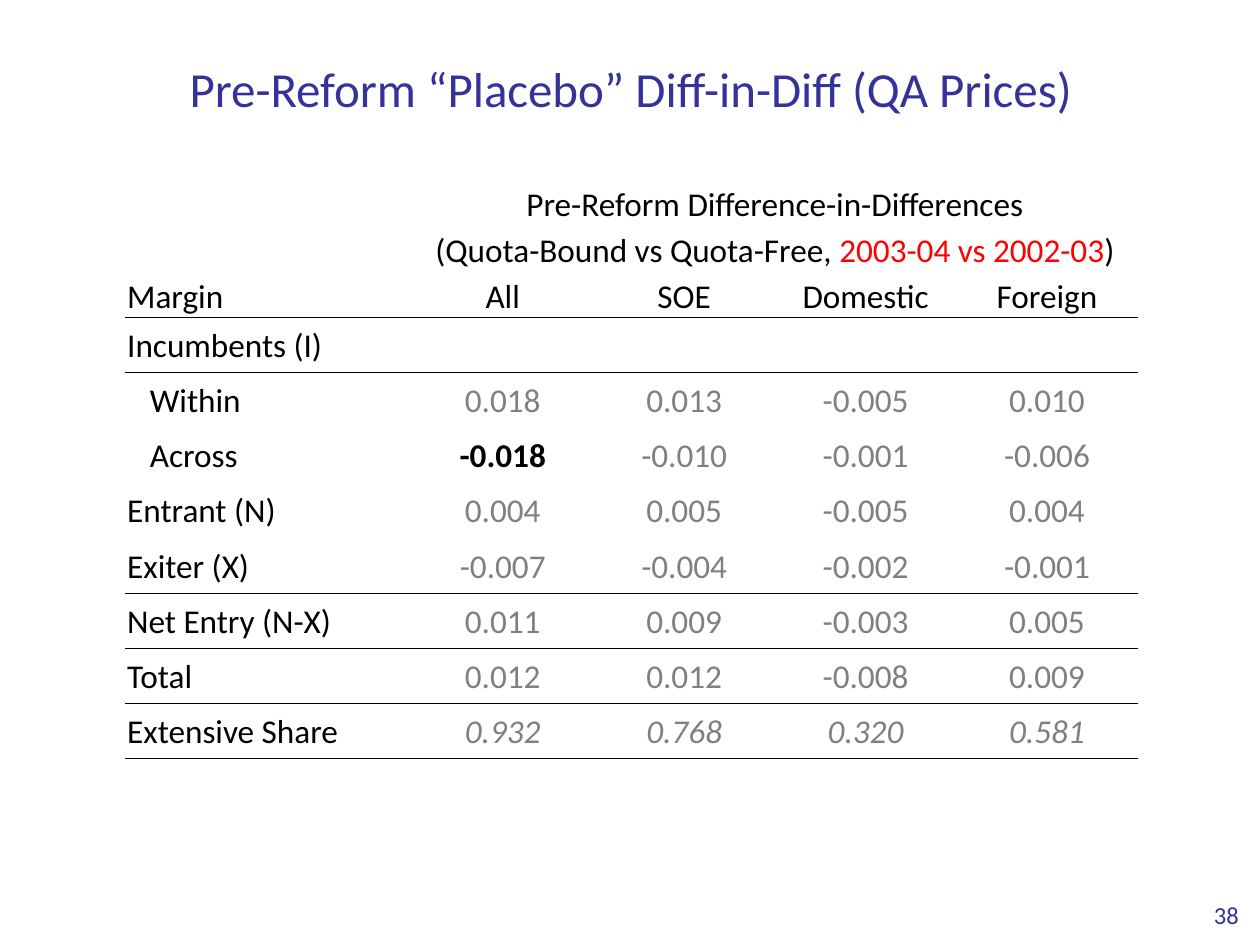
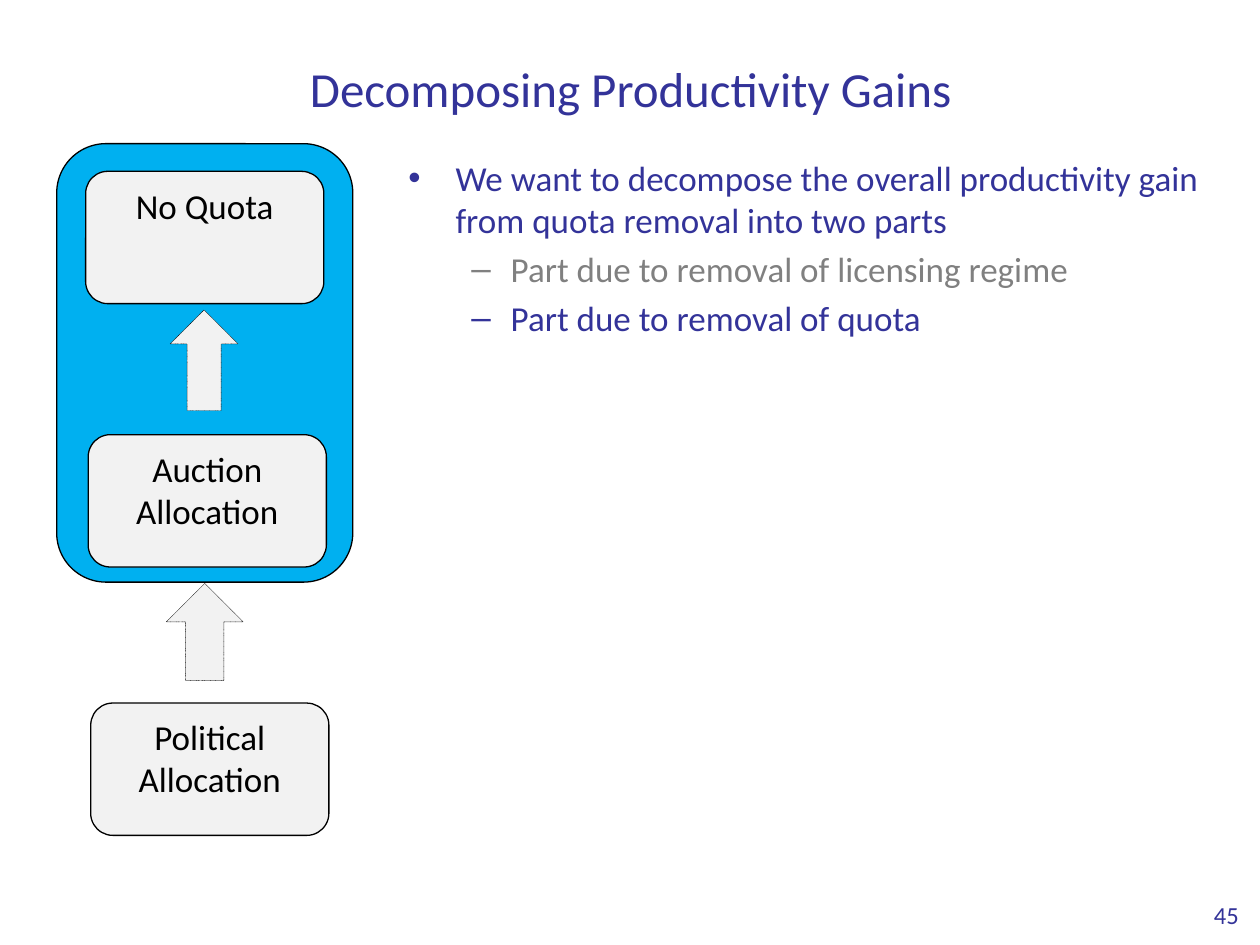
from lxml import etree
from pptx import Presentation
from pptx.dml.color import RGBColor
from pptx.enum.dml import MSO_LINE
from pptx.enum.shapes import MSO_SHAPE
from pptx.enum.text import MSO_ANCHOR, MSO_AUTO_SIZE, PP_ALIGN
from pptx.oxml import parse_xml
from pptx.oxml.ns import nsdecls
from pptx.util import Inches, Pt

NAVY = RGBColor(0x33, 0x33, 0x99)
BLACK = RGBColor(0, 0, 0)
GREY = RGBColor(0x80, 0x80, 0x80)
RED = RGBColor(0xFF, 0, 0)
SKY = RGBColor(0, 0xB0, 0xF0)
PALE = RGBColor(0xF2, 0xF2, 0xF2)
FACE = "Calibri"
LEFT, CENTER, RIGHT = PP_ALIGN.LEFT, PP_ALIGN.CENTER, PP_ALIGN.RIGHT
TOP, MIDDLE, BOTTOM = MSO_ANCHOR.TOP, MSO_ANCHOR.MIDDLE, MSO_ANCHOR.BOTTOM
FIXED = MSO_AUTO_SIZE.NONE
ROUND, ARROW = MSO_SHAPE.ROUNDED_RECTANGLE, MSO_SHAPE.RIGHT_ARROW
DOTS = MSO_LINE.ROUND_DOT
NO_STYLE = "{2D5ABB26-0587-4C30-8999-92F81FD0307C}"

deck = Presentation()
deck.slide_width, deck.slide_height = Inches(10), Inches(7.5)


def style(par, size, color, align=LEFT):
    par.alignment = align
    for run in par.runs:
        run.font.name = FACE
        run.font.size = Pt(size)
        run.font.color.rgb = color


def start(layout, title, number):
    """Add a slide with its title and page number."""
    slide = deck.slides.add_slide(deck.slide_layouts[layout])
    head = slide.shapes.title
    head.left, head.top = Inches(0.39), Inches(0.3)
    head.width, head.height = Inches(9.23), Inches(0.79)
    frame = head.text_frame
    frame.text = title
    frame.auto_size = FIXED
    frame.vertical_anchor = MIDDLE
    style(frame.paragraphs[0], 28, NAVY, CENTER)

    page = slide.shapes.add_textbox(Inches(9.39), Inches(6.86), Inches(0.54), Inches(0.52))
    frame = page.text_frame
    frame.word_wrap = True
    frame.vertical_anchor = BOTTOM
    frame.margin_bottom = 0
    frame.text = number
    style(frame.paragraphs[0], 14, NAVY, RIGHT)
    return slide


# Slide 1: table of price differences
slide = start(5, "Pre-Reform “Placebo” Diff-in-Diff (QA Prices)", "38")
ROWS = [
    ["", "Pre-Reform Difference-in-Differences", "", "", ""],
    ["", "", "", "", ""],
    ["Margin", "All", "SOE", "Domestic", "Foreign"],
    ["Incumbents (I)", "", "", "", ""],
    ["Within", "0.018", "0.013", "-0.005", "0.010"],
    ["Across", "-0.018", "-0.010", "-0.001", "-0.006"],
    ["Entrant (N)", "0.004", "0.005", "-0.005", "0.004"],
    ["Exiter (X)", "-0.007", "-0.004", "-0.002", "-0.001"],
    ["Net Entry (N-X)", "0.011", "0.009", "-0.003", "0.005"],
    ["Total", "0.012", "0.012", "-0.008", "0.009"],
    ["Extensive Share", "0.932", "0.768", "0.320", "0.581"],
]
HEADS = 3
RULED = {2, 7, 8, 9, 10}  # rows with a line below

frame = slide.shapes.add_table(len(ROWS), 5, Inches(0.99), Inches(1.42), Inches(8.04), Inches(4.6))
table = frame.table
table.first_row = table.horz_banding = False
table._tbl.tblPr.find("{*}tableStyleId").text = NO_STYLE
for c, col in enumerate(table.columns):
    col.width = Inches(1.44 if c else 2.28)

for r, words in enumerate(ROWS):
    table.rows[r].height = Inches(1.1) // HEADS if r < HEADS else Inches(3.5) // 8
    for c, word in enumerate(words):
        cell = table.cell(r, c)
        cell.fill.background()
        cell.margin_left = Inches(0.2 if word in ("Within", "Across") else 0.02)
        cell.margin_right = cell.margin_top = Inches(0.02)
        cell.margin_bottom = 0
        cell.vertical_anchor = BOTTOM if r < HEADS else MIDDLE
        cell.text_frame.text = word
        strong = word == "-0.018"
        color = GREY if c and r >= HEADS and not strong else BLACK
        par = cell.text_frame.paragraphs[0]
        style(par, 19, color, CENTER if c else LEFT)
        for run in par.runs:
            run.font.bold = strong
            run.font.italic = c > 0 and r == len(ROWS) - 1
        sides = [tag for tag, row in (("lnT", r - 1), ("lnB", r)) if row in RULED]
        for i, tag in enumerate(sides):
            line = parse_xml(
                f'<a:{tag} {nsdecls("a")} w="6350"><a:solidFill>'
                f'<a:srgbClr val="{BLACK}"/></a:solidFill></a:{tag}>')
            cell._tc.get_or_add_tcPr().insert(i, line)

par = table.cell(1, 1).text_frame.paragraphs[0]
for word in ("(Quota-Bound vs Quota-Free, ", "2003-04 vs 2002-03", ")"):
    par.add_run().text = word
style(par, 19, BLACK, CENTER)
par.runs[1].font.color.rgb = RED
for r in range(2):
    table.cell(r, 1).merge(table.cell(r, 4))

# Slide 2: steps from political allocation to no quota
slide = start(1, "Decomposing Productivity Gains", "45")
STEPS = [
    (ROUND, 0.45, 1.14, 2.35, 3.48, SKY, ""),
    (ROUND, 0.72, 5.58, 1.89, 1.05, PALE, "Political Allocation"),
    (ROUND, 0.7, 3.45, 1.89, 1.05, PALE, "Auction Allocation"),
    (ROUND, 0.68, 1.36, 1.89, 1.05, PALE, "No Quota"),
    (ARROW, 1.22, 2.59, 0.8, 0.54, PALE, ""),
    (ARROW, 1.24, 4.71, 0.77, 0.61, PALE, ""),
]
for kind, x, y, w, h, fill, word in STEPS:
    shape = slide.shapes.add_shape(kind, Inches(x), Inches(y), Inches(w), Inches(h))
    shape.shadow.inherit = False
    shape.fill.solid()
    shape.fill.fore_color.rgb = fill
    shape.line.color.rgb = BLACK
    shape.line.width = Pt(0.75)
    if kind == ARROW:
        shape.rotation = 270
        shape.line.width = Pt(0.25)
        shape.line.dash_style = DOTS
    if word:
        shape.text_frame.text = word
        shape.text_frame.vertical_anchor = TOP
        style(shape.text_frame.paragraphs[0], 20, BLACK, CENTER)

POINTS = [
    (0, NAVY, "We want to decompose the overall productivity gain from quota removal into two parts"),
    (1, GREY, "Part due to removal of licensing regime"),
    (1, NAVY, "Part due to removal of quota"),
]
body = slide.placeholders[1]
body.left, body.top = Inches(3.14), Inches(1.19)
body.width, body.height = Inches(6.48), Inches(6.31)
frame = body.text_frame
frame.auto_size = FIXED
for i, (level, color, word) in enumerate(POINTS):
    par = frame.add_paragraph() if i else frame.paragraphs[0]
    par.text = word
    par.level = level
    style(par, 20, color)

deck.save("out.pptx")
